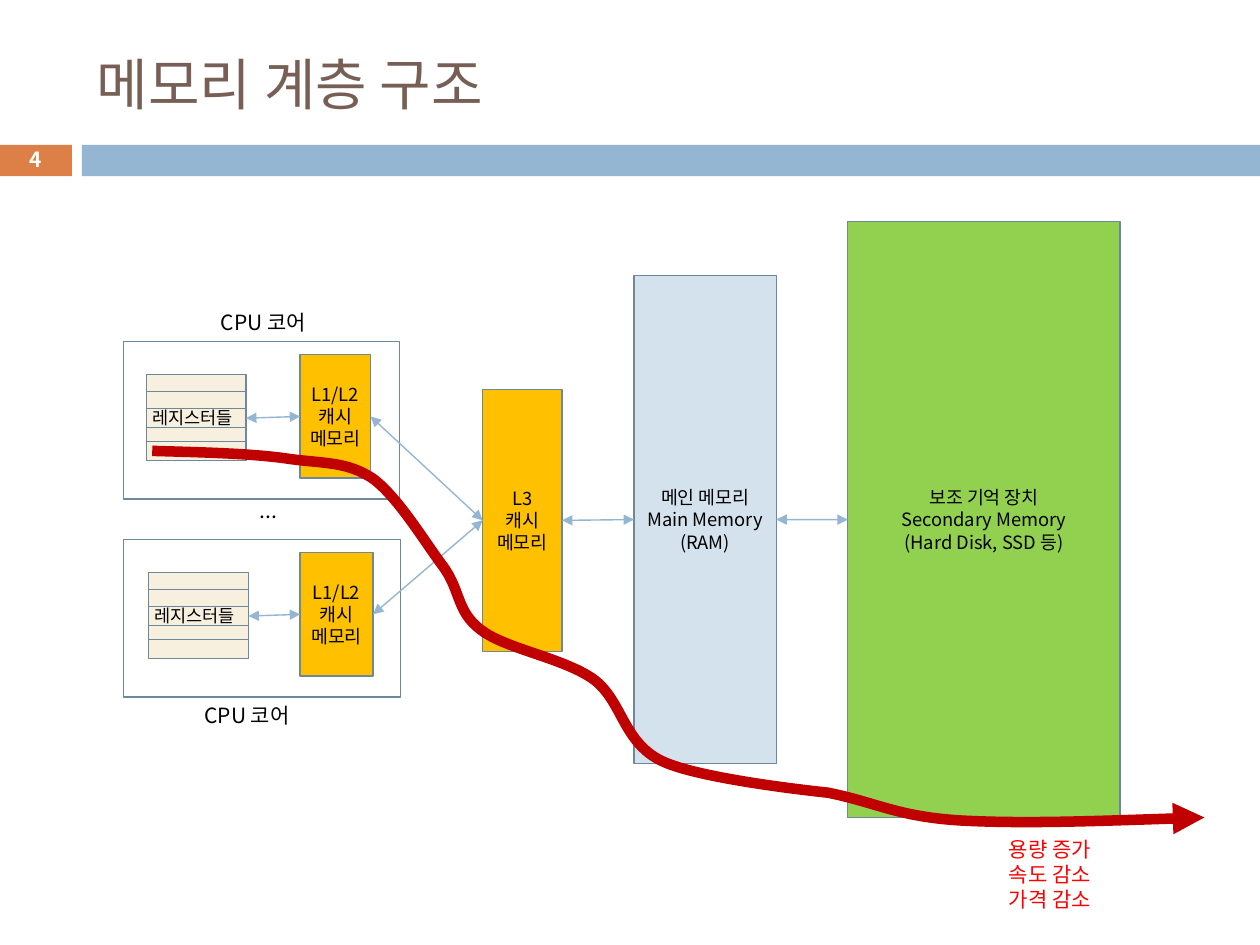
from dataclasses import dataclass

from lxml import etree
from pptx import Presentation
from pptx.dml.color import RGBColor
from pptx.enum.shapes import MSO_CONNECTOR, MSO_SHAPE
from pptx.enum.text import MSO_ANCHOR, PP_ALIGN
from pptx.oxml.ns import qn
from pptx.util import Cm, Pt

RECTANGLE = MSO_SHAPE.RECTANGLE
STRAIGHT = MSO_CONNECTOR.STRAIGHT
MIDDLE, TOP = MSO_ANCHOR.MIDDLE, MSO_ANCHOR.TOP
LEFT, CENTER = PP_ALIGN.LEFT, PP_ALIGN.CENTER
LEFT_SIDE, RIGHT_SIDE = 1, 3

FONT = "Noto Sans CJK KR"
BLACK = RGBColor(0x00, 0x00, 0x00)
WHITE = RGBColor(0xFF, 0xFF, 0xFF)
BROWN = RGBColor(0x77, 0x5F, 0x55)
ORANGE = RGBColor(0xDD, 0x80, 0x47)
BLUE = RGBColor(0x94, 0xB6, 0xD2)
OUTLINE = RGBColor(0x6D, 0x87, 0x9B)
CREAM = RGBColor(0xF7, 0xF0, 0xDE)
AMBER = RGBColor(0xFF, 0xC0, 0x00)
PALE_BLUE = RGBColor(0xD4, 0xE2, 0xED)
GREEN = RGBColor(0x92, 0xD0, 0x50)
RED = RGBColor(0xFF, 0x00, 0x00)
DARK_RED = RGBColor(0xC0, 0x00, 0x00)


@dataclass(frozen=True)
class Area:
    left: float
    top: float
    width: float
    height: float

    def lengths(self) -> tuple:
        return Cm(self.left), Cm(self.top), Cm(self.width), Cm(self.height)


@dataclass(frozen=True)
class TextStyle:
    size: float
    color: RGBColor = BLACK
    align: PP_ALIGN = CENTER
    anchor: MSO_ANCHOR = MIDDLE
    bold: bool = False
    inset: bool = False
    wrap: bool = True


@dataclass(frozen=True)
class Memory:
    area: Area
    fill: RGBColor
    text: str


@dataclass(frozen=True)
class Core:
    area: Area
    register_left: float
    cache_width: float


MEMORY_STYLE = TextStyle(10.5)
CAPTION_STYLE = TextStyle(12)
REGISTER_STYLE = TextStyle(10, align=LEFT, anchor=TOP, inset=True, wrap=False)
TREND_STYLE = TextStyle(12, RED, LEFT, TOP, inset=True)

CORES = (
    Core(Area(2.49, 6.88, 5.56, 3.18), 2.95, 1.42),
    Core(Area(2.49, 10.87, 5.59, 3.18), 3.0, 1.47),
)
REGISTER_OFFSETS = (0.67, 1.02, 1.36, 1.74, 2.02)
SHARED_MEMORIES = (
    Memory(Area(9.73, 7.85, 1.6, 5.28), AMBER, "L3\n캐시\n메모리"),
    Memory(Area(12.78, 5.56, 2.87, 9.83), PALE_BLUE, "메인 메모리\nMain Memory\n(RAM)"),
    Memory(Area(17.09, 4.47, 5.49, 12.01), GREEN,
           "보조 기억 장치\nSecondary Memory\n(Hard Disk, SSD 등)"),
)
CAPTIONS = (
    ("CPU 코어", Area(3.71, 6.07, 3.2, 0.84), CAPTION_STYLE),
    ("...", Area(3.81, 9.86, 3.2, 0.84), CAPTION_STYLE),
    ("CPU 코어", Area(3.38, 14.0, 3.2, 0.84), CAPTION_STYLE),
    ("용량 증가\n속도 감소\n가격 감소", Area(20.09, 16.74, 2.97, 1.8), TREND_STYLE),
    ("4", Area(-0.02, 2.87, 1.47, 0.69), TextStyle(11.9, WHITE, bold=True)),
)
TREND_START = (3.07, 9.09)
TREND_CURVES = (
    ((4.06, 9.12), (5.08, 9.14), (5.82, 9.25)),
    ((6.55, 9.35), (6.99, 9.3), (7.52, 9.65)),
    ((8.03, 10.03), (8.56, 10.92), (8.92, 11.4)),
    ((9.3, 11.91), (9.19, 12.32), (9.7, 12.7)),
    ((10.19, 13.08), (11.35, 13.26), (11.96, 13.69)),
    ((12.55, 14.12), (12.55, 14.96), (13.34, 15.34)),
    ((14.12, 15.72), (16.69, 15.98), (16.69, 15.98)),
    ((17.68, 16.18), (18.08, 16.46), (19.35, 16.54)),
    ((20.62, 16.61), (22.45, 16.54), (24.28, 16.48)),
)


def write_text(shape, text: str, style: TextStyle) -> None:
    frame = shape.text_frame
    frame.text = text
    frame.word_wrap = style.wrap
    frame.vertical_anchor = style.anchor
    if not style.inset:
        frame.margin_left = frame.margin_right = 0
        frame.margin_top = frame.margin_bottom = 0
    for paragraph in frame.paragraphs:
        paragraph.alignment = style.align
        paragraph.line_spacing = Pt(style.size * 1.2)
        for span in paragraph.runs:
            span.font.size = Pt(style.size)
            span.font.bold = style.bold
            span.font.color.rgb = style.color
            span.font.name = FONT
            properties = span.font._element
            etree.SubElement(properties, qn("a:ea"), typeface=FONT)


def add_box(page, area: Area, fill: RGBColor, outlined: bool = True):
    box = page.shapes.add_shape(RECTANGLE, *area.lengths())
    box.shadow.inherit = False
    box.fill.solid()
    box.fill.fore_color.rgb = fill
    if outlined:
        box.line.color.rgb = OUTLINE
        box.line.width = Pt(0.75)
    else:
        box.line.fill.background()
    return box


def add_label(page, text: str, area: Area, style: TextStyle) -> None:
    write_text(page.shapes.add_textbox(*area.lengths()), text, style)


def add_memory(page, memory: Memory):
    box = add_box(page, memory.area, memory.fill)
    write_text(box, memory.text, MEMORY_STYLE)
    return box


def add_arrowheads(line, *ends: str) -> None:
    for end in ends:
        etree.SubElement(line._get_or_add_ln(), qn(f"a:{end}"), type="triangle")


def link(page, source, target) -> None:
    connector = page.shapes.add_connector(STRAIGHT, 0, 0, 0, 0)
    connector.begin_connect(source, RIGHT_SIDE)
    connector.end_connect(target, LEFT_SIDE)
    connector.line.color.rgb = BLUE
    connector.line.width = Pt(0.79)
    add_arrowheads(connector.line, "headEnd", "tailEnd")
    etree.SubElement(connector._element.spPr, qn("a:effectLst"))


def add_core(page, core: Core):
    top = core.area.top
    add_box(page, core.area, WHITE)
    registers = [add_box(page, Area(core.register_left, top + offset, 2.01, 0.38), CREAM)
                 for offset in REGISTER_OFFSETS]
    add_label(page, "레지스터들", Area(core.register_left - 0.13, top + 1.2, 2.29, 0.69),
              REGISTER_STYLE)
    cache = add_memory(page, Memory(Area(6.05, top + 0.27, core.cache_width, 2.49),
                                    AMBER, "L1/L2\n캐시\n메모리"))
    link(page, registers[2], cache)
    return cache


def add_trend_arrow(page) -> None:
    builder = page.shapes.build_freeform(*map(Cm, TREND_START))
    builder.add_line_segments([(Cm(x), Cm(y)) for curve in TREND_CURVES for x, y in curve],
                              close=False)
    arrow = builder.convert_to_shape()
    segments = list(arrow._element.iter(qn("a:lnTo")))
    outline = segments[0].getparent()
    for first in range(0, len(segments), 3):
        bezier = etree.SubElement(outline, qn("a:cubicBezTo"))
        for segment in segments[first:first + 3]:
            bezier.append(segment[0])
            outline.remove(segment)
    arrow.shadow.inherit = False
    arrow.fill.background()
    arrow.line.color.rgb = DARK_RED
    arrow.line.width = Pt(6)
    add_arrowheads(arrow.line, "tailEnd")


def main() -> None:
    deck = Presentation()
    deck.slide_width, deck.slide_height = Cm(25.4), Cm(19.05)
    page = deck.slides.add_slide(deck.slide_layouts[5])
    title = page.shapes.title
    title.left, title.top, title.width, title.height = Area(1.7, 0.64, 22.66, 2.08).lengths()
    write_text(title, "메모리 계층 구조", TextStyle(32, BROWN, LEFT, inset=True))
    add_box(page, Area(-0.02, 2.92, 1.47, 0.63), ORANGE, outlined=False)
    add_box(page, Area(1.65, 2.92, 23.75, 0.63), BLUE, outlined=False)

    caches = [add_core(page, core) for core in CORES]
    shared, main_memory, storage = [add_memory(page, memory) for memory in SHARED_MEMORIES]
    for cache in caches:
        link(page, cache, shared)
    link(page, shared, main_memory)
    link(page, main_memory, storage)
    for text, area, style in CAPTIONS:
        add_label(page, text, area, style)
    add_trend_arrow(page)
    deck.save("out.pptx")


if __name__ == "__main__":
    main()
